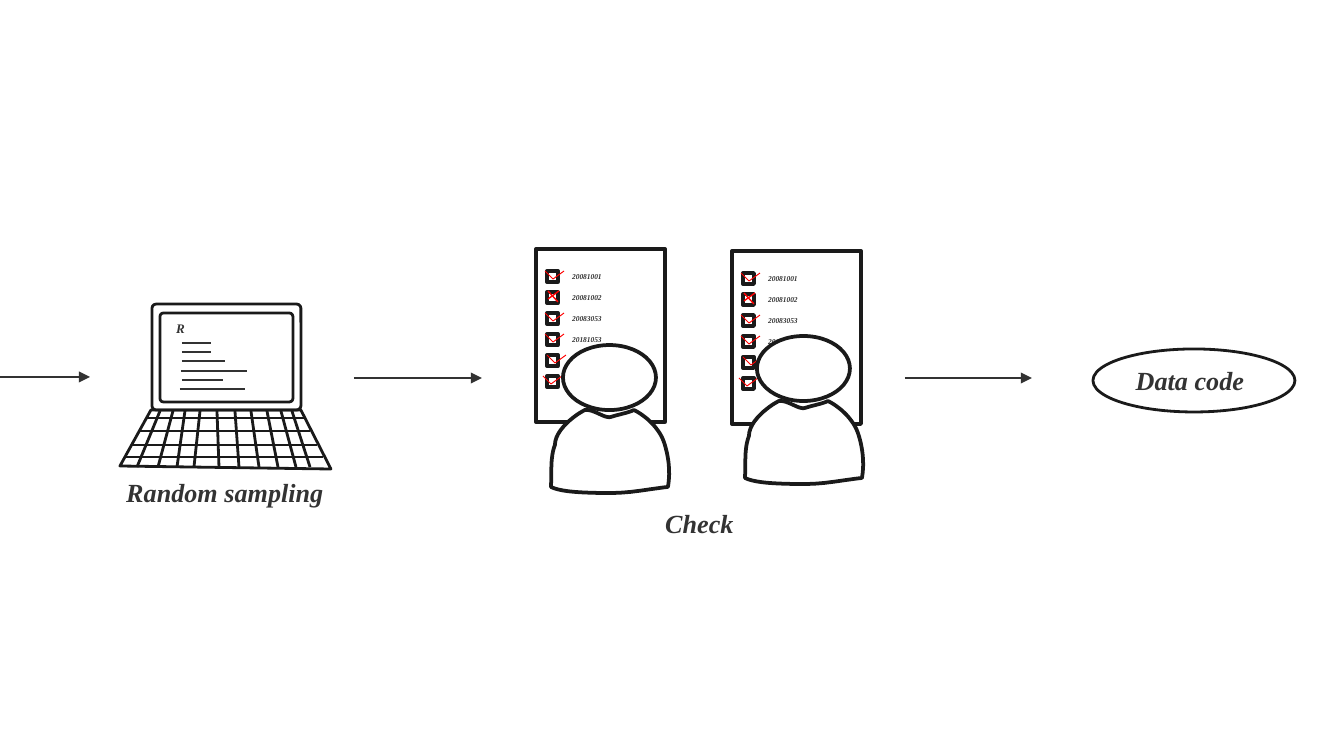
from lxml import etree
from pptx import Presentation
from pptx import util as u
from pptx.dml.color import RGBColor
from pptx.enum import shapes as sh, text as tx
from pptx.oxml.ns import qn

PX = 6804
INK = RGBColor(0x1A, 0x1A, 0x1A)
GREY = RGBColor(0x32, 0x32, 0x32)
WORD = RGBColor(0x33, 0x33, 0x33)
RED = RGBColor(0xFF, 0x00, 0x00)
WHITE = RGBColor(0xFF, 0xFF, 0xFF)

FONT = {"name": "Times New Roman", "bold": True, "italic": True}
FRAME = {"word_wrap": False, "auto_size": tx.MSO_AUTO_SIZE.SHAPE_TO_FIT_TEXT}
KIND = sh.MSO_SHAPE

ROWS = [(418, 146, 305), (431, 140, 310), (445, 132, 317), (457, 126, 323)]
TOPS = [160, 173, 185, 200, 217, 235, 251, 267, 281, 292]
ENDS = [137, 158, 177, 194, 219, 239, 259, 278, 296, 310]
CODE = [(182, 211), (182, 211), (182, 225), (181, 247), (182, 223), (180, 245)]
TICKS = {0: 9, 2: 9, 3: 9, 4: 11, 5: 7}
CODES = ["20081001", "20081002", "20083053", "20181053"]
BODY = [
    [(12, 83), (42, 83), (60, 83)],
    [(81, 83), (98, 79), (117, 77)],
    [(120, 60), (117, 44), (113, 32)],
    [(109, 20), (97, 7), (83, 0)],
    [(77, 3), (69, 4), (60, 7)],
    [(54, 9), (43, -1), (34, 0)],
    [(24, 5), (4, 20), (4, 35)],
    [(-1, 48), (1, 63), (0, 77)],
]


def emu(*vals):
    return [u.Emu(round(v * PX)) for v in vals]


def style(shape, fill, color, width):
    shape.shadow.inherit = False
    if fill is None:
        shape.fill.background()
    else:
        shape.fill.solid()
        shape.fill.fore_color.rgb = fill
    shape.line.color.rgb = color
    shape.line.width = u.Pt(width)


def block(slide, kind, box, fill=None, width=2):
    shape = slide.shapes.add_shape(kind, *emu(*box))
    style(shape, fill, INK, width)
    return shape


def outline(slide, points, color, width, fill=None, close=True):
    spots = [emu(*p) for p in points]
    pen = slide.shapes.build_freeform(*spots[0])
    pen.add_line_segments(spots[1:], close=close)
    style(pen.convert_to_shape(), fill, color, width)


def line(slide, start, end, color, width, head=False):
    rule = slide.shapes.add_connector(
        sh.MSO_CONNECTOR.STRAIGHT, *emu(*start, *end))
    rule.line.color.rgb = color
    rule.line.width = u.Pt(width)
    if head:
        tip = etree.SubElement(rule.line._get_or_add_ln(), qn("a:tailEnd"))
        tip.set("type", "triangle")
    etree.SubElement(rule._element.spPr, qn("a:effectLst"))


def write(shape, words, size):
    frame = shape.text_frame
    for key, val in FRAME.items():
        setattr(frame, key, val)
    para = frame.paragraphs[0]
    para.alignment = tx.PP_ALIGN.LEFT
    run = para.add_run()
    run.text = words
    for key, val in {**FONT, "size": u.Pt(size)}.items():
        setattr(run.font, key, val)
    run.font.color.rgb = WORD


def label(slide, box, words, size):
    write(slide.shapes.add_textbox(*emu(*box)), words, size)


def laptop(slide):
    for box in [(152, 304, 149, 106), (160, 313, 133, 89)]:
        block(slide, KIND.ROUNDED_RECTANGLE, box, width=1.5).adjustments[0] = 0.04
    base = [(151, 410), (301, 410), (331, 469), (120, 466)]
    outline(slide, base, INK, 1.5)
    for y, left, right in ROWS:
        line(slide, (left, y), (right, y), INK, 1.5)
    for top, end in zip(TOPS, ENDS):
        line(slide, (top, 411), (end, 467), INK, 1.5)
    label(slide, (163, 314, 36, 30), "R", 7)
    for i, (left, right) in enumerate(CODE):
        y = round(343 + 9.2 * i)
        line(slide, (left, y), (right, y), GREY, 1)


def sheet(slide, x, y):
    block(slide, KIND.RECTANGLE, (x, y, 129, 173), WHITE)
    tops = [y + 22 + 21 * i for i in range(6)]
    for top in tops:
        block(slide, KIND.RECTANGLE, (x + 11, top, 11, 11), WHITE)
    for row, dx in TICKS.items():
        left, top = x + dx, tops[row]
        mark = [(left, top), (left + 8, top + 8), (left + 19, top)]
        outline(slide, mark, RED, 0.5, close=False)
    top = tops[1]
    line(slide, (x + 12, top - 1), (x + 22, top + 10), RED, 0.75)
    line(slide, (x + 12, top + 7), (x + 23, top - 1), RED, 0.75)
    for top, code in zip(tops, CODES):
        label(slide, (x + 23, top - 6, 58, 23), code, 4)


def curve(start, arcs, steps=12):
    points = [start]
    for b, c, d in arcs:
        a = points[-1]
        for i in range(1, steps + 1):
            t = i / steps
            s = 1 - t
            points.append(tuple(
                s**3 * p + 3 * s * s * t * q + 3 * s * t * t * r + t**3 * e
                for p, q, r, e in zip(a, b, c, d)))
    return points


def person(slide, x, y):
    block(slide, KIND.OVAL, (x, y, 93, 65), WHITE)
    body = [(x - 12 + dx, y + 65 + dy) for dx, dy in curve((0, 77), BODY)]
    outline(slide, body, INK, 2, WHITE)


def main():
    deck = Presentation()
    deck.slide_width, deck.slide_height = emu(1344, 756)
    slide = deck.slides.add_slide(deck.slide_layouts[6])
    for left, right, y in [(-16, 90, 377), (354, 482, 378), (905, 1032, 378)]:
        line(slide, (left, y), (right, y), GREY, 1.5, head=True)
    laptop(slide)
    label(slide, (113, 470, 226, 46), "Random sampling", 14)
    for spot in [(732, 251), (536, 249)]:
        sheet(slide, *spot)
    for spot in [(757, 336), (563, 345)]:
        person(slide, *spot)
    label(slide, (652, 501, 97, 46), "Check", 14)
    oval = block(slide, KIND.OVAL, (1093, 349, 202, 63), width=1.5)
    write(oval, "Data code", 14)
    deck.save("out.pptx")


if __name__ == "__main__":
    main()
